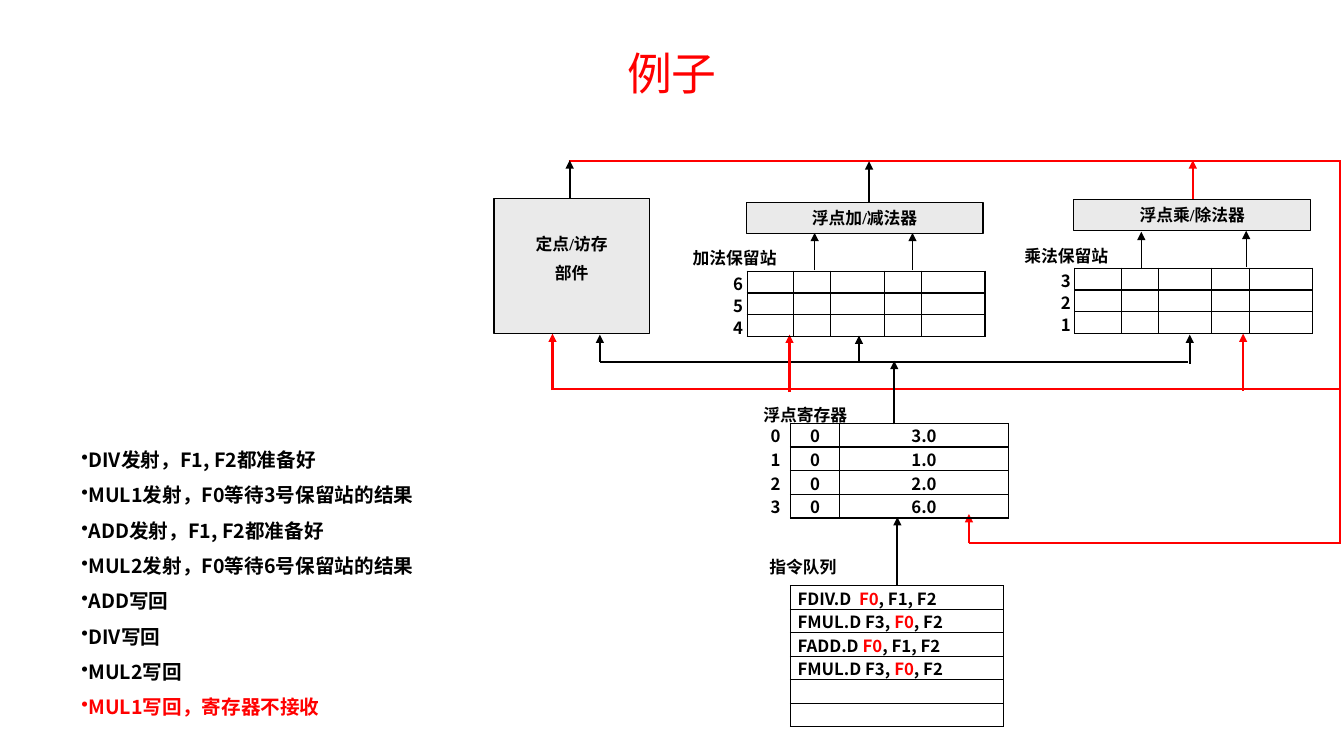
from dataclasses import dataclass
from typing import NamedTuple

from lxml.etree import SubElement
from pptx import Presentation
from pptx.dml.color import RGBColor
from pptx.enum.shapes import MSO_CONNECTOR, MSO_SHAPE
from pptx.enum.text import MSO_ANCHOR, PP_ALIGN
from pptx.oxml.ns import qn
from pptx.util import Emu, Inches, Pt

WIDTH, HEIGHT = Inches(13.33), Inches(7.5)
COLUMNS, ROWS = 133.3, 75
RESULT = "F0"


@dataclass(frozen=True)
class Theme:
    black: RGBColor = RGBColor(0, 0, 0)
    red: RGBColor = RGBColor(255, 0, 0)
    gray: RGBColor = RGBColor(0xEA, 0xEA, 0xEA)
    title_font: str = "Arial"
    label_font: str = "Times New Roman"
    body_font: str = "Noto Sans CJK SC"
    title_size: int = 32
    body_size: int = 14
    label_size: int = 12
    blank_size: int = 8
    thin: float = 0.75
    thick: float = 1.5
    border: float = 1


THEME = Theme()


class Area(NamedTuple):
    left: float
    top: float
    width: float
    height: float


class Wire(NamedTuple):
    x1: float
    y1: float
    x2: float
    y2: float
    color: RGBColor = THEME.black
    weight: float = THEME.thick


class Label(NamedTuple):
    text: str
    area: Area


class Unit(NamedTuple):
    lines: tuple[str, ...]
    area: Area
    inset: float


class Grid(NamedTuple):
    area: Area
    widths: tuple[float, ...]
    rows: tuple[tuple[str, ...], ...]
    aligns: tuple[PP_ALIGN, ...]
    insets: tuple[float, float]
    numbered: bool = True


BUSES = (
    Wire(56.4, 16, 133, 16, THEME.red),
    Wire(132.9, 16, 132.9, 53.9, THEME.red),
    Wire(96.1, 53.9, 133, 53.9, THEME.red),
    Wire(59.5, 35.9, 117.8, 35.9),
    Wire(54.8, 38.6, 133, 38.6, THEME.red),
)
ARROWS = (
    Wire(80.8, 26.8, 80.8, 23.1, weight=THEME.thin),
    Wire(90.5, 26.8, 90.5, 23.1, weight=THEME.thin),
    Wire(113.2, 26.7, 113.2, 23, weight=THEME.thin),
    Wire(123.6, 26.5, 123.6, 22.9, weight=THEME.thin),
    Wire(89, 58.1, 89, 51.3),
    Wire(88.7, 42.1, 88.7, 35.8),
    Wire(59.5, 35.9, 59.5, 33.2),
    Wire(85.2, 36, 85.2, 33.3),
    Wire(118, 36.1, 118, 33.2),
    Wire(56.5, 20, 56.5, 15.9),
    Wire(86.2, 20.1, 86.2, 16),
    Wire(118.3, 19.9, 118.3, 15.9, THEME.red),
    Wire(54.8, 38.7, 54.8, 33.1, THEME.red),
    Wire(78.3, 38.9, 78.3, 33.2, THEME.red),
    Wire(123.3, 38.8, 123.3, 33.1, THEME.red),
    Wire(96.1, 53.9, 96.1, 51, THEME.red),
)
LABELS = (
    Label("加法保留站", Area(68.7, 24.6, 11.4, 2)),
    Label("乘法保留站", Area(101.6, 24.4, 11.4, 2)),
    Label("浮点寄存器", Area(75.7, 40.2, 11.9, 2)),
    Label("指令队列", Area(76.3, 55.2, 11.3, 2)),
)
UNITS = (
    Unit(("定点/访存", "部件"), Area(49, 19.7, 15.4, 13.4), 3.5),
    Unit(("浮点加/减法器",), Area(74, 20.1, 23.5, 3.1), 0.5),
    Unit(("浮点乘/除法器",), Area(106.5, 19.8, 23.5, 3.1), 0.5),
)
REGISTERS = ("3.0", "1.0", "2.0", "6.0")
QUEUE = ("FDIV.D  F0, F1, F2", "FMUL.D F3, F0, F2",
         "FADD.D F0, F1, F2", "FMUL.D F3, F0, F2", "", "")


def station(left: float, top: float, numbers: str) -> Grid:
    widths = (2.2, 4.6, 3.7, 5.3, 3.7, 6.3)
    rows = tuple((number,) + ("",) * 5 for number in numbers)
    return Grid(Area(left, top, 25.8, 6.5), widths, rows,
                (PP_ALIGN.RIGHT,) + (PP_ALIGN.LEFT,) * 5, (0, 0.4))


GRIDS = (
    Grid(Area(74.4, 42, 25.6, 9.4), (4, 4.9, 16.7),
         tuple((str(n), "0", value) for n, value in enumerate(REGISTERS)),
         (PP_ALIGN.RIGHT, PP_ALIGN.CENTER, PP_ALIGN.CENTER), (1, 1)),
    Grid(Area(78.4, 58.1, 21.1, 14), (21.1,), tuple((line,) for line in QUEUE),
         (PP_ALIGN.LEFT,), (0.7, 0.7), numbered=False),
    station(104.4, 26.6, "321"),
    station(71.9, 26.9, "654"),
)
STEPS = (
    "DIV发射，F1, F2都准备好",
    "MUL1发射，F0等待3号保留站的结果",
    "ADD发射，F1, F2都准备好",
    "MUL2发射，F0等待6号保留站的结果",
    "ADD写回",
    "DIV写回",
    "MUL2写回",
    "MUL1写回，寄存器不接收",
)


def across(columns: float) -> Emu:
    return Emu(round(WIDTH * columns / COLUMNS))


def down(rows: float) -> Emu:
    return Emu(round(HEIGHT * rows / ROWS))


def place(area: Area) -> tuple[Emu, Emu, Emu, Emu]:
    return across(area.left), down(area.top), across(area.width), down(area.height)


def style(paragraph, face: str, size: float, color: RGBColor = THEME.black,
          bold: bool = True) -> None:
    font = paragraph.font
    font.name, font.size, font.bold = face, Pt(size), bold
    font.color.rgb = color


def add_wire(slide, wire: Wire, arrow: bool) -> None:
    connector = slide.shapes.add_connector(
        MSO_CONNECTOR.STRAIGHT, across(wire.x1), down(wire.y1),
        across(wire.x2), down(wire.y2))
    connector.line.color.rgb = wire.color
    connector.line.width = Pt(wire.weight)
    if arrow:
        SubElement(connector.line._get_or_add_ln(), qn("a:tailEnd"), type="triangle")
    SubElement(connector._element.spPr, qn("a:effectLst"))


def add_text(slide, area: Area):
    frame = slide.shapes.add_textbox(*place(area)).text_frame
    frame.word_wrap = True
    return frame


def add_label(slide, label: Label) -> None:
    frame = add_text(slide, label.area)
    frame.margin_left = frame.margin_right = frame.margin_top = frame.margin_bottom = 0
    frame.text = label.text
    style(frame.paragraphs[0], THEME.label_font, THEME.label_size)


def add_unit(slide, unit: Unit) -> None:
    box = slide.shapes.add_shape(MSO_SHAPE.RECTANGLE, *place(unit.area))
    box.shadow.inherit = False
    box.fill.solid()
    box.fill.fore_color.rgb = THEME.gray
    box.line.color.rgb = THEME.black
    box.line.width = Pt(THEME.thin)
    frame = box.text_frame
    frame.vertical_anchor = MSO_ANCHOR.TOP
    frame.margin_top = down(unit.inset)
    frame.text = "\n".join(unit.lines)
    for index, paragraph in enumerate(frame.paragraphs):
        paragraph.alignment = PP_ALIGN.CENTER
        paragraph.space_before = Pt(THEME.label_size / 2 if index else 0)
        style(paragraph, THEME.label_font, THEME.label_size)


def add_borders(cell, number: bool) -> None:
    properties = cell._tc.get_or_add_tcPr()
    for index, side in enumerate(("lnL", "lnR", "lnT", "lnB")):
        line = SubElement(properties, qn(f"a:{side}"), w=str(Pt(THEME.border)))
        if number and side != "lnR":
            SubElement(line, qn("a:noFill"))
        else:
            fill = SubElement(line, qn("a:solidFill"))
            SubElement(fill, qn("a:srgbClr"), val=str(THEME.black))


def fill_cell(cell, text: str, align: PP_ALIGN, grid: Grid, number: bool) -> None:
    cell.margin_left, cell.margin_right = map(across, grid.insets)
    cell.margin_top = cell.margin_bottom = 0
    add_borders(cell, number)
    cell.fill.background()
    paragraph = cell.text_frame.paragraphs[0]
    paragraph.alignment = align
    style(paragraph, THEME.body_font, THEME.label_size if text else THEME.blank_size)
    for part in filter(None, text.partition(RESULT)):
        run = paragraph.add_run()
        run.text = part
        if part == RESULT:
            run.font.color.rgb = THEME.red
    if not text:
        SubElement(paragraph._p, qn("a:endParaRPr"), sz=str(THEME.blank_size * 100))


def add_grid(slide, grid: Grid) -> None:
    table = slide.shapes.add_table(len(grid.rows), len(grid.widths), *place(grid.area)).table
    table.first_row = table.horz_banding = False
    for column, width in zip(table.columns, grid.widths):
        column.width = across(width)
    for r, texts in enumerate(grid.rows):
        table.rows[r].height = down(grid.area.height / len(grid.rows))
        for c, (text, align) in enumerate(zip(texts, grid.aligns)):
            fill_cell(table.cell(r, c), text, align, grid, grid.numbered and c == 0)


def add_title(slide) -> None:
    frame = add_text(slide, Area(10, 0.9, 113.3, 12.5))
    frame.vertical_anchor = MSO_ANCHOR.MIDDLE
    frame.text = "例子"
    frame.paragraphs[0].alignment = PP_ALIGN.CENTER
    style(frame.paragraphs[0], THEME.title_font, THEME.title_size, THEME.red, bold=False)


def add_steps(slide) -> None:
    frame = add_text(slide, Area(7.1, 42.8, 55.2, 31.6))
    frame.text = "\n".join(STEPS)
    for paragraph, step in zip(frame.paragraphs, STEPS):
        paragraph.line_spacing = 1.5
        SubElement(paragraph._p.get_or_add_pPr(), qn("a:buChar"), char="•")
        color = THEME.red if step == STEPS[-1] else THEME.black
        style(paragraph, THEME.body_font, THEME.body_size, color)


def main() -> None:
    deck = Presentation()
    deck.slide_width, deck.slide_height = WIDTH, HEIGHT
    slide = deck.slides.add_slide(deck.slide_layouts[6])
    add_title(slide)
    for wires, arrow in ((BUSES, False), (ARROWS, True)):
        for wire in wires:
            add_wire(slide, wire, arrow)
    for label in LABELS:
        add_label(slide, label)
    for unit in UNITS:
        add_unit(slide, unit)
    for grid in GRIDS:
        add_grid(slide, grid)
    add_steps(slide)
    deck.save("out.pptx")


if __name__ == "__main__":
    main()
